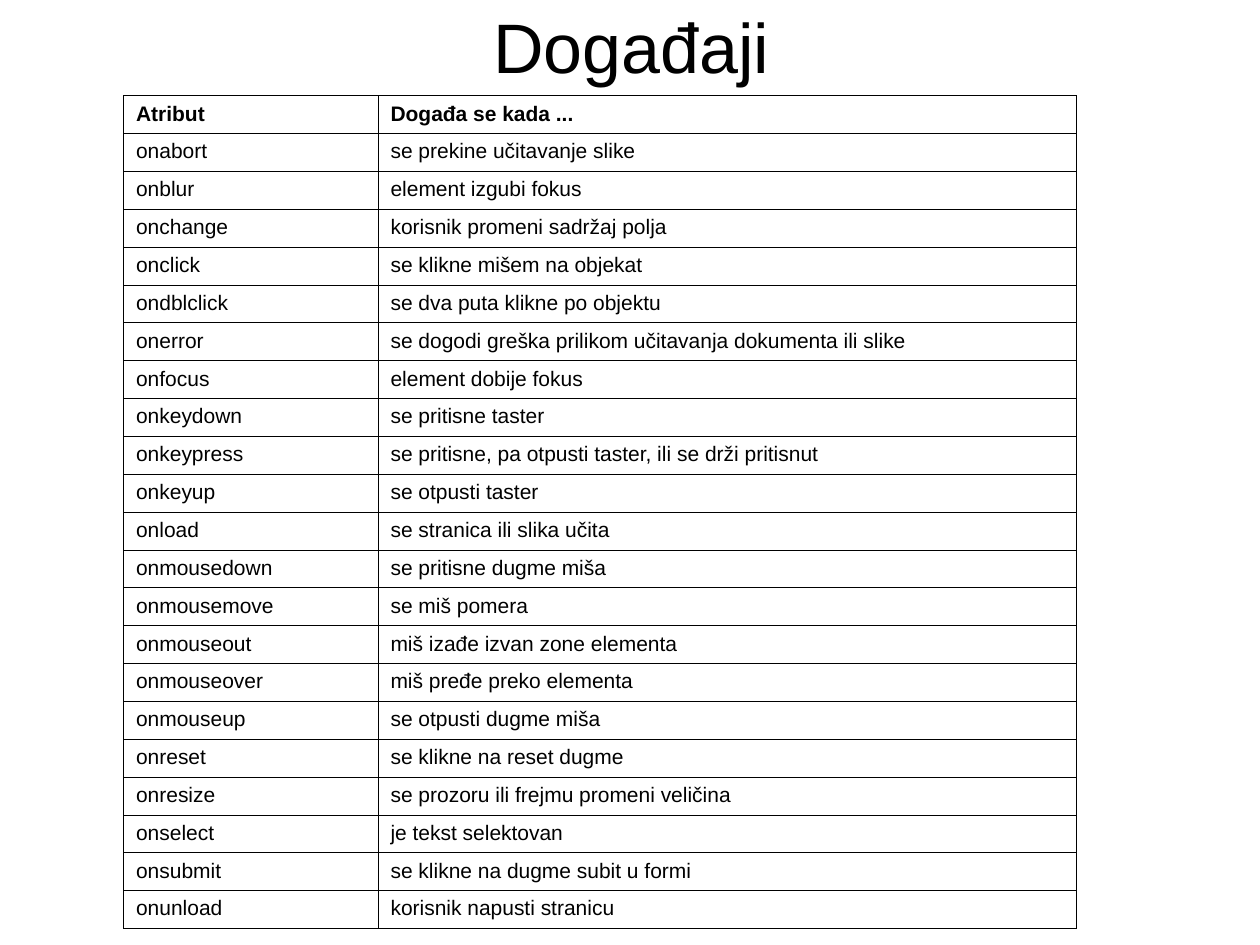
from dataclasses import dataclass

from lxml.etree import SubElement
from pptx import Presentation
from pptx.dml.color import RGBColor
from pptx.enum.text import MSO_ANCHOR, MSO_AUTO_SIZE, PP_ALIGN
from pptx.oxml.ns import qn
from pptx.util import Inches, Pt


@dataclass(frozen=True)
class Theme:
    font: str = "Arial"
    ink: str = "000000"
    paper: str = "FFFFFF"
    title_size: float = 40
    table_size: float = 12
    border_width: float = 0.45


THEME = Theme()
TITLE_BOX = (Inches(0.51), Inches(0.13), Inches(9), Inches(0.47))
TABLE_BOX = (Inches(0.98), Inches(0.76), Inches(7.56), Inches(6.61))
ATTRIBUTE_WIDTH = Inches(2.02)
HANGING_INDENT = Inches(0.38)

EVENTS = [
    ("Atribut", "Događa se kada ..."),
    ("onabort", "se prekine učitavanje slike"),
    ("onblur", "element izgubi fokus"),
    ("onchange", "korisnik promeni sadržaj polja"),
    ("onclick", "se klikne mišem na objekat"),
    ("ondblclick", "se dva puta klikne po objektu"),
    ("onerror", "se dogodi greška prilikom učitavanja dokumenta ili slike"),
    ("onfocus", "element dobije fokus"),
    ("onkeydown", "se pritisne taster"),
    ("onkeypress", "se pritisne, pa otpusti taster, ili se drži pritisnut"),
    ("onkeyup", "se otpusti taster"),
    ("onload", "se stranica ili slika učita"),
    ("onmousedown", "se pritisne dugme miša"),
    ("onmousemove", "se miš pomera"),
    ("onmouseout", "miš izađe izvan zone elementa"),
    ("onmouseover", "miš pređe preko elementa"),
    ("onmouseup", "se otpusti dugme miša"),
    ("onreset", "se klikne na reset dugme"),
    ("onresize", "se prozoru ili frejmu promeni veličina"),
    ("onselect", "je tekst selektovan"),
    ("onsubmit", "se klikne na dugme subit u formi"),
    ("onunload", "korisnik napusti stranicu"),
]


def style_font(para, size, bold=False):
    para.font.name = THEME.font
    para.font.size = Pt(size)
    para.font.bold = bold
    para.font.color.rgb = RGBColor.from_string(THEME.ink)


def place_title(page, box, text):
    title = page.shapes.title
    title.left, title.top, title.width, title.height = box
    frame = title.text_frame
    frame.text = text
    frame.word_wrap = True
    frame.auto_size = MSO_AUTO_SIZE.NONE
    frame.vertical_anchor = MSO_ANCHOR.MIDDLE
    frame.margin_top = frame.margin_bottom = 0
    para = frame.paragraphs[0]
    para.alignment = PP_ALIGN.CENTER
    style_font(para, THEME.title_size)


def add_borders(cell):
    properties = cell._tc.get_or_add_tcPr()
    for position, side in enumerate(("lnL", "lnR", "lnT", "lnB")):
        line = SubElement(properties, qn(f"a:{side}"), w=str(Pt(THEME.border_width)))
        fill = SubElement(line, qn("a:solidFill"))
        SubElement(fill, qn("a:srgbClr"), val=THEME.ink)
        properties.insert(position, line)


def fill_cell(cell, text, bold):
    cell.text = text
    cell.fill.solid()
    cell.fill.fore_color.rgb = RGBColor.from_string(THEME.paper)
    add_borders(cell)
    para = cell.text_frame.paragraphs[0]
    indents = para._p.get_or_add_pPr()
    indents.set("marL", str(HANGING_INDENT))
    indents.set("indent", str(-HANGING_INDENT))
    style_font(para, THEME.table_size, bold)


def place_event_table(page, box, events):
    table = page.shapes.add_table(len(events), 2, *box).table
    table.horz_banding = False
    table.columns[0].width = ATTRIBUTE_WIDTH
    table.columns[1].width = box[2] - ATTRIBUTE_WIDTH
    for row_index, event in enumerate(events):
        for column_index, text in enumerate(event):
            fill_cell(table.cell(row_index, column_index), text, row_index == 0)


def main():
    deck = Presentation()
    deck.slide_width, deck.slide_height = Inches(10), Inches(7.5)
    page = deck.slides.add_slide(deck.slide_layouts[5])
    place_title(page, TITLE_BOX, "Događaji")
    place_event_table(page, TABLE_BOX, EVENTS)
    deck.save("out.pptx")


if __name__ == "__main__":
    main()
